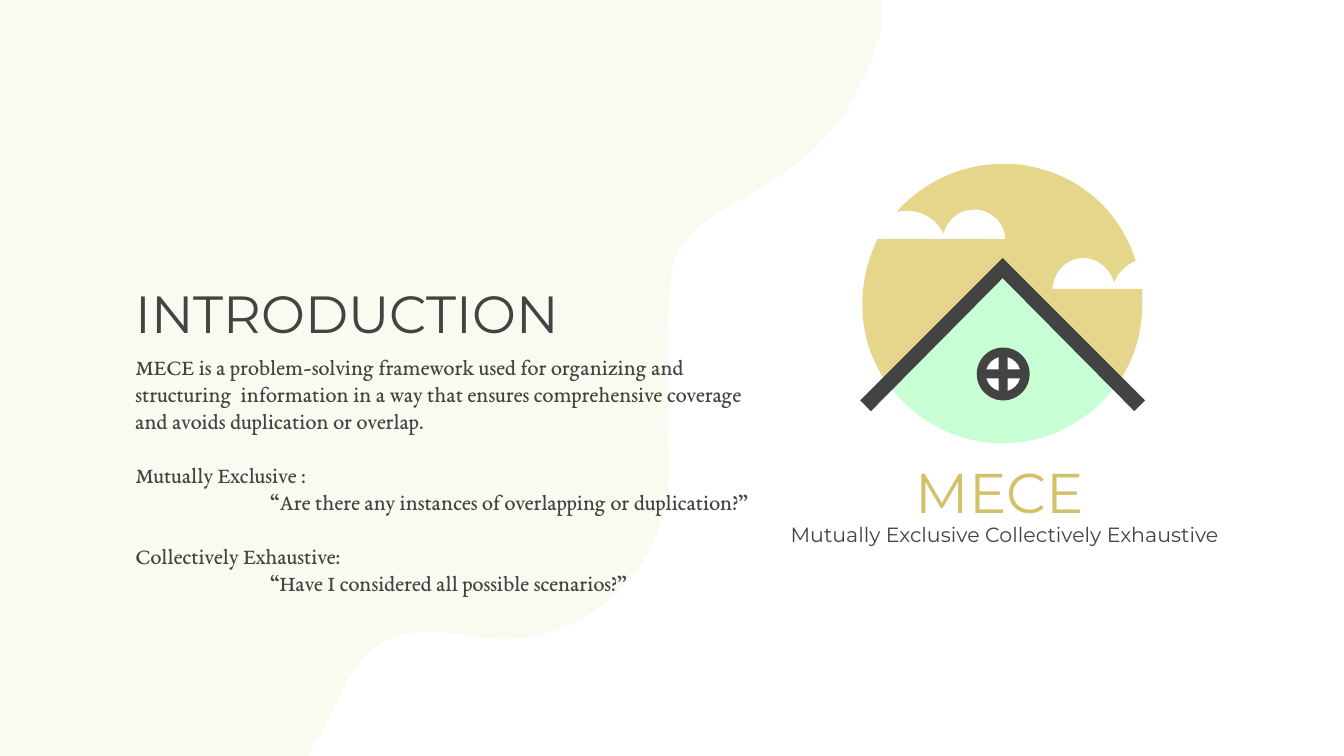
"""Build the MECE introduction slide with its house emblem."""
import pptx
import pptx.dml.color
import pptx.enum.shapes
import pptx.enum.text
import pptx.oxml
import pptx.oxml.ns
import pptx.util

Cm = pptx.util.Cm
Pt = pptx.util.Pt
qn = pptx.oxml.ns.qn
NAMESPACE = pptx.oxml.ns.nsdecls("a")
SHAPES = pptx.enum.shapes.MSO_SHAPE
ANCHORS = pptx.enum.text.MSO_ANCHOR
ALIGNMENTS = pptx.enum.text.PP_ALIGN

COLORS = {"gold": "E6D68C", "mint": "C9FFD5", "dark": "434343",
          "white": "FFFFFF", "ochre": "D3C169"}
STEPS_PER_UNIT = 100
PATH_STEP = Cm(2.54) / STEPS_PER_UNIT
BLOB_OPACITY = 12
TAB_STOP = Cm(2.54)

INTRODUCTION = [
    ("MECE is a problem-solving framework used for organizing and structuring  "
     "information in a way that ensures comprehensive coverage and avoids "
     "duplication or overlap.", 0),
    ("Mutually Exclusive :", 14.5),
    ("\t“Are there any instances of overlapping or duplication?”", 0),
    ("Collectively Exhaustive:", 14.5),
    ("\t“Have I considered all possible scenarios?”", 0),
]

TEXTS = [
    {"box": (2.31, 4.47, 10.74, 2.29), "paragraphs": [("INTRODUCTION", 0)],
     "font": "Montserrat", "size": 28, "color": "dark",
     "anchor": ANCHORS.BOTTOM, "align": ALIGNMENTS.LEFT},
    {"box": (2.31, 6.43, 12.24, 5.18), "paragraphs": INTRODUCTION,
     "font": "EB Garamond", "size": 12, "color": "dark",
     "anchor": ANCHORS.TOP, "align": ALIGNMENTS.LEFT},
    {"box": (15.54, 8.4, 6.73, 1.57), "paragraphs": [("MECE", 0)],
     "font": "Montserrat", "size": 30, "color": "ochre",
     "anchor": ANCHORS.TOP, "align": ALIGNMENTS.CENTER},
    {"box": (13.54, 9.63, 10.9, 1.57),
     "paragraphs": [("Mutually Exclusive Collectively Exhaustive", 0)],
     "font": "Montserrat", "size": 11, "color": "dark",
     "anchor": ANCHORS.TOP, "align": ALIGNMENTS.CENTER},
]

BLOB = [
    (-0.22, 6.06), (0.15, 6.29, 0.59, 6.42, 1.08, 6.34),
    (2.62, 6.1, 2.32, 4.91, 2.96, 4.73), (3.11, 4.69, 3.31, 4.7, 3.54, 4.74),
    (4.3, 4.86, 4.98, 4.27, 4.98, 3.5), (4.98, 3.48, 4.98, 3.47, 4.98, 3.46),
    (4.97, 3.24, 4.97, 3.02, 4.97, 2.81), (4.97, 2.54, 4.97, 2.29, 4.99, 2.08),
    (5.06, 1.35, 6.2, 1.61, 6.56, 0.2), (6.56, 0.07),
    (6.56, -0.05, 6.47, -0.14, 6.35, -0.14), (-0.03, -0.14),
    (-0.12, -0.14, -0.2, -0.08, -0.22, 0.01),
]
SKY = [
    (7.46, 1.22), (7.16, 1.22, 6.87, 1.35, 6.67, 1.58),
    (6.69, 1.57, 6.72, 1.57, 6.75, 1.57), (6.75, 1.57, 6.75, 1.57, 6.76, 1.57),
    (6.76, 1.57, 6.76, 1.57, 6.76, 1.57), (6.87, 1.57, 6.98, 1.64, 7.02, 1.74),
    (7.05, 1.63, 7.14, 1.56, 7.25, 1.56), (7.26, 1.56, 7.26, 1.56, 7.27, 1.56),
    (7.39, 1.57, 7.48, 1.67, 7.48, 1.78), (6.53, 1.78),
    (6.36, 2.13, 6.38, 2.54, 6.6, 2.85), (7.46, 2), (8.32, 2.85),
    (8.44, 2.68, 8.5, 2.47, 8.5, 2.26), (8.5, 2.22, 8.5, 2.18, 8.5, 2.15),
    (7.83, 2.15), (7.84, 2.02, 7.94, 1.92, 8.06, 1.92),
    (8.17, 1.92, 8.26, 2, 8.29, 2.1), (8.32, 2.03, 8.38, 1.97, 8.45, 1.94),
    (8.34, 1.58, 8.04, 1.31, 7.67, 1.24), (7.6, 1.22, 7.53, 1.22, 7.46, 1.22),
]
HOUSE = [(7.46, 2), (6.6, 2.85), (6.8, 3.13, 7.12, 3.3, 7.46, 3.3),
         (7.8, 3.3, 8.12, 3.13, 8.32, 2.85), (7.46, 2)]
ROOF = [(7.46, 1.92), (6.4, 2.98), (6.48, 3.06), (7.46, 2.07), (8.44, 3.06),
        (8.52, 2.98), (7.46, 1.92)]
EMBLEM = [(SKY, "gold"), (HOUSE, "mint"), (ROOF, "dark")]

WINDOW_CENTER = (18.96, 7.07)
WINDOW = [
    (SHAPES.OVAL, 0.84, 0.84, "white"),
    (SHAPES.DONUT, 1, 1, "dark"),
    (SHAPES.RECTANGLE, 0.17, 0.84, "dark"),
    (SHAPES.RECTANGLE, 0.86, 0.17, "dark"),
]


def rgb(name):
    return pptx.dml.color.RGBColor.from_string(COLORS[name])


def paint(shape, color):
    shape.shadow.inherit = False
    shape.fill.solid()
    shape.fill.fore_color.rgb = rgb(color)
    shape.line.fill.background()
    return shape


def add_outline(shapes, outline, color):
    points = [(round(x * STEPS_PER_UNIT), round(y * STEPS_PER_UNIT))
              for segment in outline for x, y in zip(segment[::2], segment[1::2])]
    builder = shapes.build_freeform(*points[0], scale=PATH_STEP)
    builder.add_line_segments(points[1:], close=True)
    shape = builder.convert_to_shape()
    lines = iter(list(shape._element.iter(qn("a:lnTo"))))
    for segment in outline[1:]:
        first = next(lines)
        if len(segment) == 6:
            curve = pptx.oxml.parse_xml(f"<a:cubicBezTo {NAMESPACE}/>")
            first.addprevious(curve)
            for line in (first, next(lines), next(lines)):
                curve.append(line[0])
                line.getparent().remove(line)
    return paint(shape, color)


def set_opacity(shape, percent):
    color = next(shape._element.iter(qn("a:srgbClr")))
    color.append(pptx.oxml.parse_xml(f'<a:alpha {NAMESPACE} val="{percent * 1000}"/>'))


def set_tab_stop(paragraph):
    paragraph._p.get_or_add_pPr().append(pptx.oxml.parse_xml(
        f'<a:tabLst {NAMESPACE}><a:tab pos="{TAB_STOP}" algn="l"/></a:tabLst>'))


def add_window(shapes):
    center_x, center_y = WINDOW_CENTER
    for kind, width, height, color in WINDOW:
        shape = paint(shapes.add_shape(
            kind, Cm(center_x - width / 2), Cm(center_y - height / 2),
            Cm(width), Cm(height)), color)
        if kind == SHAPES.DONUT:
            shape.adjustments[0] = 0.17


def add_text(shapes, text):
    frame = shapes.add_textbox(*map(Cm, text["box"])).text_frame
    frame.word_wrap = True
    frame.vertical_anchor = text["anchor"]
    frame.margin_left = frame.margin_right = Cm(0.25)
    frame.margin_top = frame.margin_bottom = Cm(0.25)
    for index, (wording, space_before) in enumerate(text["paragraphs"]):
        paragraph = frame.add_paragraph() if index else frame.paragraphs[0]
        paragraph.text = wording
        paragraph.alignment = text["align"]
        paragraph.space_before = Pt(space_before)
        if wording.startswith("\t"):
            set_tab_stop(paragraph)
        paragraph.font.name = text["font"]
        paragraph.font.size = Pt(text["size"])
        paragraph.font.color.rgb = rgb(text["color"])


def main():
    presentation = pptx.Presentation()
    presentation.slide_width = Cm(25.4)
    presentation.slide_height = Cm(14.29)
    slide = presentation.slides.add_slide(presentation.slide_layouts[6])
    set_opacity(add_outline(slide.shapes, BLOB, "gold"), BLOB_OPACITY)
    for outline, color in EMBLEM:
        add_outline(slide.shapes, outline, color)
    add_window(slide.shapes)
    for text in TEXTS:
        add_text(slide.shapes, text)
    presentation.save("out.pptx")


if __name__ == "__main__":
    main()
